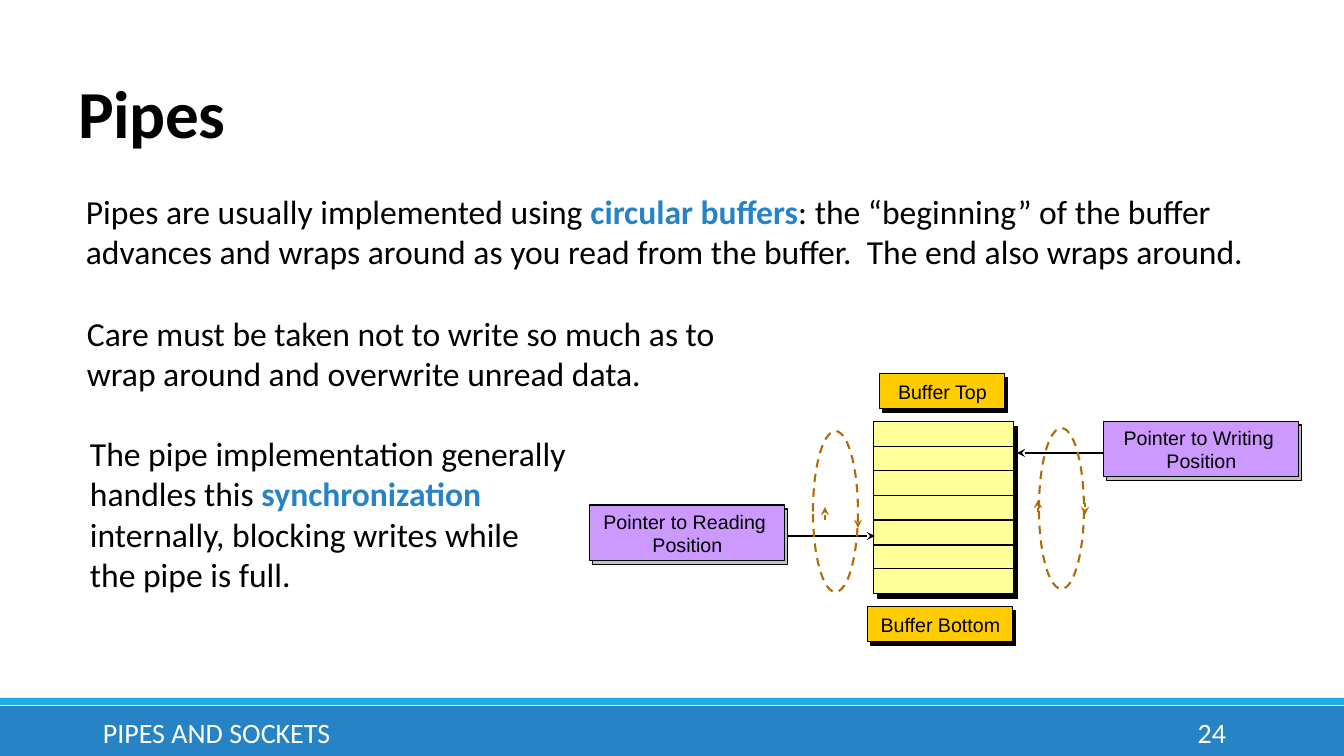
from dataclasses import dataclass

from lxml.etree import SubElement
from pptx import Presentation
from pptx.dml.color import RGBColor
from pptx.enum.dml import MSO_LINE
from pptx.enum.shapes import MSO_CONNECTOR, MSO_SHAPE
from pptx.enum.text import MSO_ANCHOR, PP_ALIGN
from pptx.oxml.ns import qn
from pptx.util import Emu, Pt


@dataclass(frozen=True)
class Theme:
    """Colours, fonts and type sizes of the slide."""

    black: str = "000000"
    white: str = "FFFFFF"
    accent: str = "2683C6"
    stripe: str = "1CADE4"
    gold: str = "FFCC00"
    cell: str = "FFFF99"
    violet: str = "CC99FF"
    grey: str = "C0C0C0"
    loop: str = "B26B02"
    body_font: str = "Calibri"
    label_font: str = "Arial"
    title_size: int = 48
    body_size: int = 24
    footer_size: int = 20
    label_size: int = 14
    thin: float = 0.75
    thick: float = 1.5


class SlideBuilder:
    """Draws themed elements on one slide, measured in px."""

    def __init__(self, slide, theme):
        """Keep the slide and the theme."""
        self.shapes = slide.shapes
        self.theme = theme

    def px(self, *lengths):
        """Turn px into EMU."""
        return [Emu(round(length * 914400 / 100.8)) for length in lengths]

    def style_font(self, font, size, family, color):
        """Set the size, family and colour of a font."""
        font.size = Pt(size)
        font.name = family
        font.color.rgb = RGBColor.from_string(color)

    def rect(self, box, fill, outlined=True):
        """Draw a filled rectangle."""
        rect = self.shapes.add_shape(MSO_SHAPE.RECTANGLE, *self.px(*box))
        rect.shadow.inherit = False
        rect.fill.solid()
        rect.fill.fore_color.rgb = RGBColor.from_string(fill)
        if outlined:
            rect.line.color.rgb = RGBColor.from_string(self.theme.black)
            rect.line.width = Pt(self.theme.thin)
        else:
            rect.line.fill.background()
        return rect

    def raised(self, box, fill, shade, offset):
        """Draw a rectangle on top of its offset shade."""
        left, top, width, height = box
        self.rect((left + offset[0], top + offset[1], width, height), shade)
        return self.rect(box, fill)

    def label(self, box, wording, fill, shade, offset=(3, 4)):
        """Draw a raised rectangle with centred wording."""
        frame = self.raised(box, fill, shade, offset).text_frame
        frame.word_wrap = False
        frame.vertical_anchor = MSO_ANCHOR.MIDDLE
        paragraph = frame.paragraphs[0]
        paragraph.text = wording
        paragraph.alignment = PP_ALIGN.CENTER
        theme = self.theme
        self.style_font(paragraph.font, theme.label_size, theme.label_font, theme.black)

    def line(self, start, end, color, width, arrow=False):
        """Draw a straight line, with an arrowhead at its end if asked."""
        line = self.shapes.add_connector(MSO_CONNECTOR.STRAIGHT, *self.px(*start, *end))
        line.line.color.rgb = RGBColor.from_string(color)
        line.line.width = Pt(width)
        if arrow:
            SubElement(line.line._get_or_add_ln(), qn("a:tailEnd"), type="stealth")
        SubElement(line._element.spPr, qn("a:effectLst"))

    def loop(self, box):
        """Draw a dashed ellipse without fill."""
        loop = self.shapes.add_shape(MSO_SHAPE.OVAL, *self.px(*box))
        loop.shadow.inherit = False
        loop.fill.background()
        loop.line.color.rgb = RGBColor.from_string(self.theme.loop)
        loop.line.width = Pt(self.theme.thick)
        loop.line.dash_style = MSO_LINE.DASH

    def text(self, box, parts, size, color, anchor=MSO_ANCHOR.TOP, align=PP_ALIGN.LEFT):
        """Write one paragraph whose every second part is highlighted."""
        frame = self.shapes.add_textbox(*self.px(*box)).text_frame
        frame.word_wrap = True
        frame.vertical_anchor = anchor
        paragraph = frame.paragraphs[0]
        paragraph.alignment = align
        self.style_font(paragraph.font, size, self.theme.body_font, color)
        for index, part in enumerate(parts):
            run = paragraph.add_run()
            run.text = part
            if index % 2:
                run.font.bold = True
                run.font.color.rgb = RGBColor.from_string(self.theme.accent)
        return paragraph

    def title(self, box, wording):
        """Write the bold, tightly spaced title."""
        theme = self.theme
        title = self.text(box, [wording], theme.title_size, theme.black, MSO_ANCHOR.BOTTOM)
        title.line_spacing = 0.85
        title.font.bold = True
        title.runs[0]._r.get_or_add_rPr().set("spc", "-50")


def main():
    """Build the slide and save it."""
    presentation = Presentation()
    theme = Theme()
    slide = presentation.slides.add_slide(presentation.slide_layouts[6])
    builder = SlideBuilder(slide, theme)
    presentation.slide_width, presentation.slide_height = builder.px(1344, 756)

    builder.rect((0, 706, 1344, 50), theme.accent, outlined=False)
    builder.rect((0, 698, 1344, 7), theme.stripe, outlined=False)
    builder.title((69, 72, 1109, 85), "Pipes")
    for box, wording, align in (
        ((93, 712, 846, 40), "PIPES AND SOCKETS", PP_ALIGN.LEFT),
        ((1092, 712, 144, 40), "24", PP_ALIGN.RIGHT),
    ):
        builder.text(box, [wording], theme.footer_size, theme.white, MSO_ANCHOR.MIDDLE, align)

    left, top, width, height = buffer = (874, 422, 140, 172)
    cells = 7
    builder.raised(buffer, theme.cell, theme.black, (4, 5))
    for cell in range(1, cells):
        divider = top + round(height * cell / cells)
        builder.line((left, divider), (left + width, divider), theme.black, theme.thin)
    builder.label((880, 374, 125, 35), "Buffer Top", theme.gold, theme.black)
    builder.label((868, 607, 145, 35), "Buffer Bottom", theme.gold, theme.black)

    for start, end in (((759, 536), (875, 536)), ((1156, 453), (1017, 453))):
        builder.line(start, end, theme.black, theme.thick, arrow=True)
    builder.label((590, 505, 195, 56), "Pointer to Reading \vPosition", theme.violet, theme.grey)
    builder.label((1104, 421, 195, 56), "Pointer to Writing \vPosition", theme.violet, theme.grey)

    for loop_left, loop_top in ((813, 431), (1039, 428)):
        builder.loop((loop_left, loop_top, 45, 161))
    for start, end in (
        ((1038, 512), (1038, 500)),
        ((825, 520), (825, 507)),
        ((858, 516), (858, 528)),
        ((1085, 503), (1085, 515)),
    ):
        builder.line(start, end, theme.loop, 0, arrow=True)

    for box, parts in (
        (
            (76, 186, 1217, 92),
            (
                "Pipes are usually implemented using ",
                "circular buffers",
                ": the “beginning” of the buffer advances and wraps around as you read "
                "from the buffer.  The end also wraps around.",
            ),
        ),
        (
            (77, 308, 672, 92),
            ("Care must be taken not to write so much as to wrap around and overwrite unread data.",),
        ),
        (
            (80, 428, 498, 173),
            (
                "The pipe implementation generally handles this ",
                "synchronization ",
                "internally, blocking writes while the pipe is full.",
            ),
        ),
    ):
        builder.text(box, parts, theme.body_size, theme.black)

    presentation.save("out.pptx")


if __name__ == "__main__":
    main()
